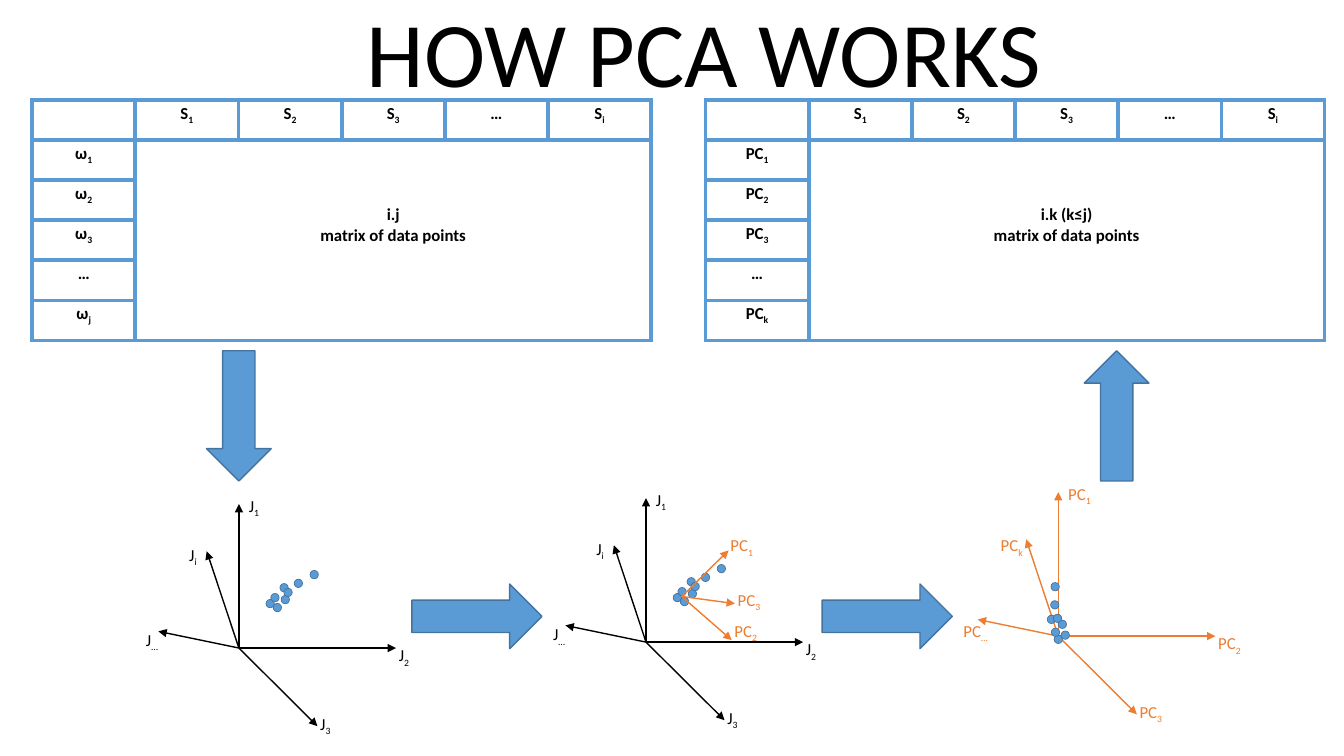
"""Build the slide that explains how PCA works."""
from math import cos, radians, sin

from lxml.etree import SubElement
from pptx import Presentation
from pptx.dml.color import RGBColor
from pptx.enum.shapes import MSO_CONNECTOR as CONN, MSO_SHAPE as SHAPE
from pptx.enum.text import MSO_ANCHOR as ANCHOR, MSO_AUTO_SIZE as AUTO, PP_ALIGN as ALIGN
from pptx.oxml.ns import qn
from pptx.util import Cm, Pt

BLUE, DARK_BLUE, ORANGE, BLACK = "5B9BD5", "43739E", "ED7D31", "000000"
FONT = "Calibri"
COL_W, ROW_H = 2.6, 1.01
DOT = 0.21
TIPS = [(0, -3.63), (3.96, 0), (1.98, 1.97), (-0.81, -2.44), (-2.03, -0.42)]
J_SPOTS = [(0, -3.96), (3.78, -0.2), (1.8, 1.52), (-1.5, -2.74), (-2.59, -0.58)]
PC_SPOTS = J_SPOTS[:3] + [(-1.7, -2.67), (-2.64, -0.51)]
INNER_START = (0.9, -1.15)
INNER_TIPS = [(2.08, -2.31), (2.16, -0.05), (2.24, -0.97)]
INNER_SPOTS = [(1.88, -2.82), (1.98, -0.66), (2.06, -1.45)]
DOTS = [(0.79, -1.12), (0.97, -1.02), (0.91, -1.27), (1.14, -1.52),
        (1.9, -1.85), (1.17, -1.22), (1.24, -1.4), (1.5, -1.63)]
SAMPLES = ["S1", "S2", "S3", "…", "Si"]


def rgb(color):
    """Turn a hex string into a colour."""
    return RGBColor.from_string(color)


def set_font(p, size, color, bold=False):
    """Format a whole paragraph."""
    p.font.name, p.font.size, p.font.bold = FONT, Pt(size), bold
    p.font.color.rgb = rgb(color)


def add_symbol(p, text):
    """Write a symbol whose last character is a subscript."""
    if len(text) == 1:
        p.add_run().text = text
        return
    p.add_run().text = text[:-1]
    r = p.add_run()
    r.text = text[-1]
    r._r.get_or_add_rPr().set("baseline", "-25000")


def add_title(slide, text):
    """Place the title over the tables."""
    sp = slide.shapes.title
    sp.left, sp.top, sp.width, sp.height = Cm(8.99), Cm(-0.25), Cm(17.68), Cm(3.07)
    tf = sp.text_frame
    tf.text = text
    tf.word_wrap, tf.auto_size, tf.vertical_anchor = False, AUTO.NONE, ANCHOR.TOP
    tf.paragraphs[0].alignment = ALIGN.LEFT
    set_font(tf.paragraphs[0], 66, BLACK)


def format_cell(cell):
    """Give a cell its margins, blue borders and no fill."""
    cell.margin_left = cell.margin_right = Cm(0.18)
    cell.margin_top = cell.margin_bottom = Cm(0.08)
    tc_pr = cell._tc.get_or_add_tcPr()
    for side in ("lnL", "lnR", "lnT", "lnB"):
        ln = SubElement(tc_pr, qn(f"a:{side}"), w=str(Pt(3)))
        SubElement(SubElement(ln, qn("a:solidFill")), qn("a:srgbClr"), val=BLUE)
    cell.fill.background()
    p = cell.text_frame.paragraphs[0]
    p.alignment = ALIGN.CENTER
    set_font(p, 12, BLACK, True)


def add_matrix(slide, left, row_names, size_text):
    """Add a table with named rows and columns around one merged body."""
    n = len(SAMPLES) + 1
    table = slide.shapes.add_table(n, n, Cm(left), Cm(2.52), Cm(n * COL_W), Cm(n * ROW_H)).table
    table.first_row = table.horz_banding = False
    for col, row in zip(table.columns, table.rows):
        col.width, row.height = Cm(COL_W), Cm(ROW_H)
    for cell in table.iter_cells():
        format_cell(cell)
    for i, (sample, name) in enumerate(zip(SAMPLES, row_names), 1):
        add_symbol(table.cell(0, i).text_frame.paragraphs[0], sample)
        add_symbol(table.cell(i, 0).text_frame.paragraphs[0], name)
    body = table.cell(1, 1)
    body.merge(table.cell(n - 1, n - 1))
    body.margin_top = Cm(1.63)
    tf = body.text_frame
    tf.paragraphs[0].add_run().text = size_text
    p = tf.add_paragraph()
    p.add_run().text = "matrix of data points"
    p.alignment = ALIGN.CENTER
    set_font(p, 12, BLACK, True)


def add_blue_shape(shapes, kind, center, size, line_width, rotation=0):
    """Add a blue shape around its centre."""
    (x, y), (w, h) = center, size
    sp = shapes.add_shape(kind, Cm(x - w / 2), Cm(y - h / 2), Cm(w), Cm(h))
    sp.rotation = rotation
    sp.shadow.inherit = False
    sp.fill.solid()
    sp.fill.fore_color.rgb = rgb(BLUE)
    sp.line.color.rgb = rgb(DARK_BLUE)
    sp.line.width = Pt(line_width)


def add_axis(slide, start, tip, color):
    """Add a thin line with an arrowhead at its tip."""
    c = slide.shapes.add_connector(CONN.STRAIGHT, *(Cm(v) for v in start + tip))
    c.line.color.rgb = rgb(color)
    c.line.width = Pt(1)
    sp_pr = c._element.spPr
    SubElement(sp_pr.find(qn("a:ln")), qn("a:tailEnd"), type="triangle")
    SubElement(sp_pr, qn("a:effectLst"))


def add_label(slide, spot, text, color):
    """Add an axis label, wider where it ends in an ellipsis."""
    width = 1.12 if text.startswith("PC") else 0.79
    if text.endswith("…"):
        width += 0.2
    tf = slide.shapes.add_textbox(*(Cm(v) for v in spot), Cm(width), Cm(0.77)).text_frame
    tf.word_wrap, tf.auto_size = False, AUTO.SHAPE_TO_FIT_TEXT
    add_symbol(tf.paragraphs[0], text)
    set_font(tf.paragraphs[0], 12, color)


def shift(origin, offset):
    """Move an offset to its origin."""
    return origin[0] + offset[0], origin[1] + offset[1]


def add_axes(slide, origin, names, tips, spots, color, start=(0, 0)):
    """Add labelled axes that share a start."""
    for name, tip, spot in zip(names, tips, spots):
        add_axis(slide, shift(origin, start), shift(origin, tip), color)
        add_label(slide, shift(origin, spot), name, color)


def add_dots(shapes, first, angle=0):
    """Add the data points, turned about the first one."""
    c, s = cos(radians(angle)), sin(radians(angle))
    for x, y in DOTS:
        dx, dy = x - DOTS[0][0], y - DOTS[0][1]
        center = shift(first, (dx * c - dy * s, dx * s + dy * c))
        add_blue_shape(shapes, SHAPE.OVAL, center, (DOT, DOT), 0.5, angle)


def main():
    """Build and save the slide."""
    prs = Presentation()
    prs.slide_width, prs.slide_height = Cm(33.87), Cm(19.05)
    slide = prs.slides.add_slide(prs.slide_layouts[5])
    add_title(slide, "HOW PCA WORKS")
    add_matrix(slide, 0.81, ["ω1", "ω2", "ω3", "…", "ωj"], "i.j")
    add_matrix(slide, 17.78, ["PC1", "PC2", "PC3", "…", "PCk"], "i.k (k≤j)")
    for x, y, angle in [(6.02, 10.48, 0), (28.14, 10.48, 180),
                        (12.02, 15.53, 270), (22.36, 15.53, 270)]:
        add_blue_shape(slide.shapes, SHAPE.DOWN_ARROW, (x, y), (1.63, 3.28), 1, angle)

    j_names = ["J1", "J2", "J3", "Ji", "J…"]
    pc_names = ["PC1", "PC2", "PC3", "PCk", "PC…"]
    data, fitted, rotated = (6.02, 16.33), (16.28, 16.18), (26.67, 16.03)
    for origin in (data, fitted):
        add_axes(slide, origin, j_names, TIPS, J_SPOTS, BLACK)
        add_dots(slide.shapes, shift(origin, DOTS[0]))
    add_axes(slide, fitted, pc_names, INNER_TIPS, INNER_SPOTS, ORANGE, INNER_START)
    add_axes(slide, rotated, pc_names, TIPS, PC_SPOTS, ORANGE)
    add_dots(slide.shapes.add_group_shape().shapes, shift(rotated, (0, 0.08)), 300)
    prs.save("out.pptx")


if __name__ == "__main__":
    main()
